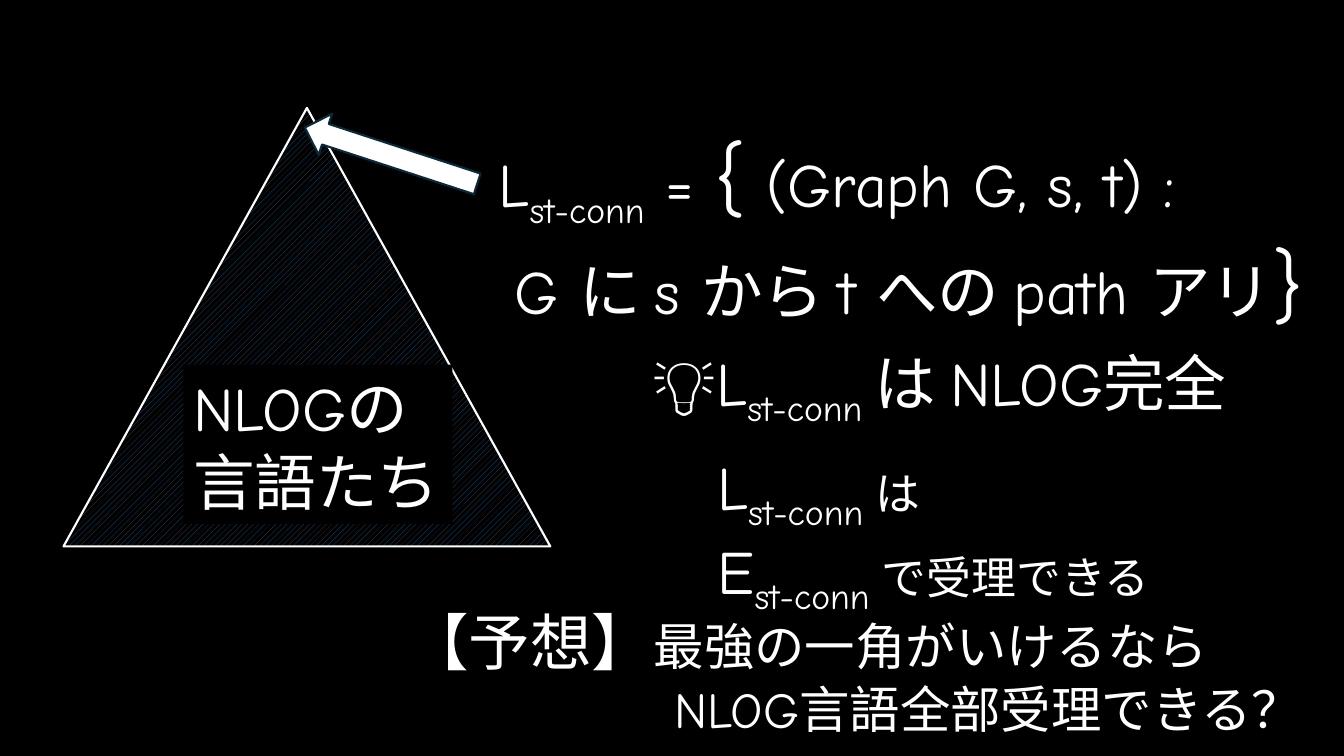
from pptx import Presentation
from pptx.dml.color import RGBColor
from pptx.enum.dml import MSO_PATTERN
from pptx.enum.shapes import MSO_SHAPE as Preset
from pptx.enum.text import MSO_AUTO_SIZE as AutoSize
from pptx.util import Cm, Pt

COLORS = {name: RGBColor.from_string(value) for name, value in {
    "black": "000000", "white": "FFFFFF", "blue": "156082", "navy": "092A39",
}.items()}
FONT = "Comic Neue"
LARGE, BRACE, MEDIUM, SMALL = 44, 60, 36, 32
SUBSCRIPT = "-25000"


def add_shape(preset, left, top, width, height, line_color):
    shape = slide.shapes.add_shape(preset, Cm(left), Cm(top), Cm(width), Cm(height))
    shape.shadow.inherit = False
    shape.line.color.rgb = COLORS[line_color]
    shape.line.width = Pt(1.5)
    return shape


def add_text(left, top, width, height, lines, wrap=False):
    """Each line is (first-line indent in cm, [(text, size, is subscript)])."""
    box = slide.shapes.add_textbox(Cm(left), Cm(top), Cm(width), Cm(height))
    frame = box.text_frame
    frame.word_wrap = wrap
    frame.auto_size = AutoSize.SHAPE_TO_FIT_TEXT
    for index, (indent, runs) in enumerate(lines):
        paragraph = frame.add_paragraph() if index else frame.paragraphs[0]
        if indent:
            paragraph._p.get_or_add_pPr().set("indent", str(Cm(indent)))
        paragraph.font.name = FONT
        paragraph.font.color.rgb = COLORS["white"]
        for text, size, is_subscript in runs:
            run = paragraph.add_run()
            run.text = text
            run.font.size = Pt(size)
            if is_subscript:
                run._r.get_or_add_rPr().set("baseline", SUBSCRIPT)
    return box


# Slide with a black background
presentation = Presentation()
presentation.slide_width, presentation.slide_height = Cm(33.87), Cm(19.05)
slide = presentation.slides.add_slide(presentation.slide_layouts[6])
slide.background.fill.solid()
slide.background.fill.fore_color.rgb = COLORS["black"]

# Triangle of NLOG languages
triangle = add_shape(Preset.FLOWCHART_EXTRACT, 1.6, 2.72, 12.27, 11.05, "white")
triangle.fill.patterned()
triangle.fill.pattern = MSO_PATTERN.WIDE_UPWARD_DIAGONAL
triangle.fill.fore_color.rgb = COLORS["blue"]
triangle.fill.back_color.rgb = COLORS["black"]

# Definition of the st-connectivity language
subscript = ("st-conn", LARGE, True)
subscript_gap = ("st-conn ", LARGE, True)
add_text(12.32, 3, 21.92, 5.38, [
    (0, [("L", LARGE, False), subscript, (" = ", LARGE, False),
         ("{", BRACE, False), (" (Graph G, s, t) :", LARGE, False)]),
    (0.4, [("G に s から t への path アリ", LARGE, False), ("}", BRACE, False)]),
], wrap=True)

# Arrow to the top of the triangle
arrow = add_shape(Preset.LEFT_ARROW, 7.57, 3.38, 4.57, 1.09, "navy")
arrow.rotation = 18.1
arrow.fill.solid()
arrow.fill.fore_color.rgb = COLORS["white"]

# Completeness
add_text(16.2, 8.56, 16.64, 2.13, [
    (0, [("💡L", LARGE, False), subscript_gap, ("は NLOG完全", LARGE, False)]),
])

# Triangle label
label = add_text(4.62, 9.19, 6.78, 4.01, [
    (0, [("NLOGの", LARGE, False)]),
    (0, [("言語たち", LARGE, False)]),
])
label.fill.solid()
label.fill.fore_color.rgb = COLORS["black"]

# Conjecture
add_text(10.01, 15.09, 23.04, 3.68, [
    (0, [("【予想】", LARGE, False), ("最強の一角がいけるなら", MEDIUM, False)]),
    (6.73, [("NLOG言語全部受理できる？", MEDIUM, False)]),
])

# Acceptance
add_text(17.83, 11.18, 12.27, 4.01, [
    (0, [("L", LARGE, False), subscript_gap, ("は", SMALL, False)]),
    (0, [("E", LARGE, False), subscript_gap, ("で受理できる", SMALL, False)]),
])

presentation.save("out.pptx")
